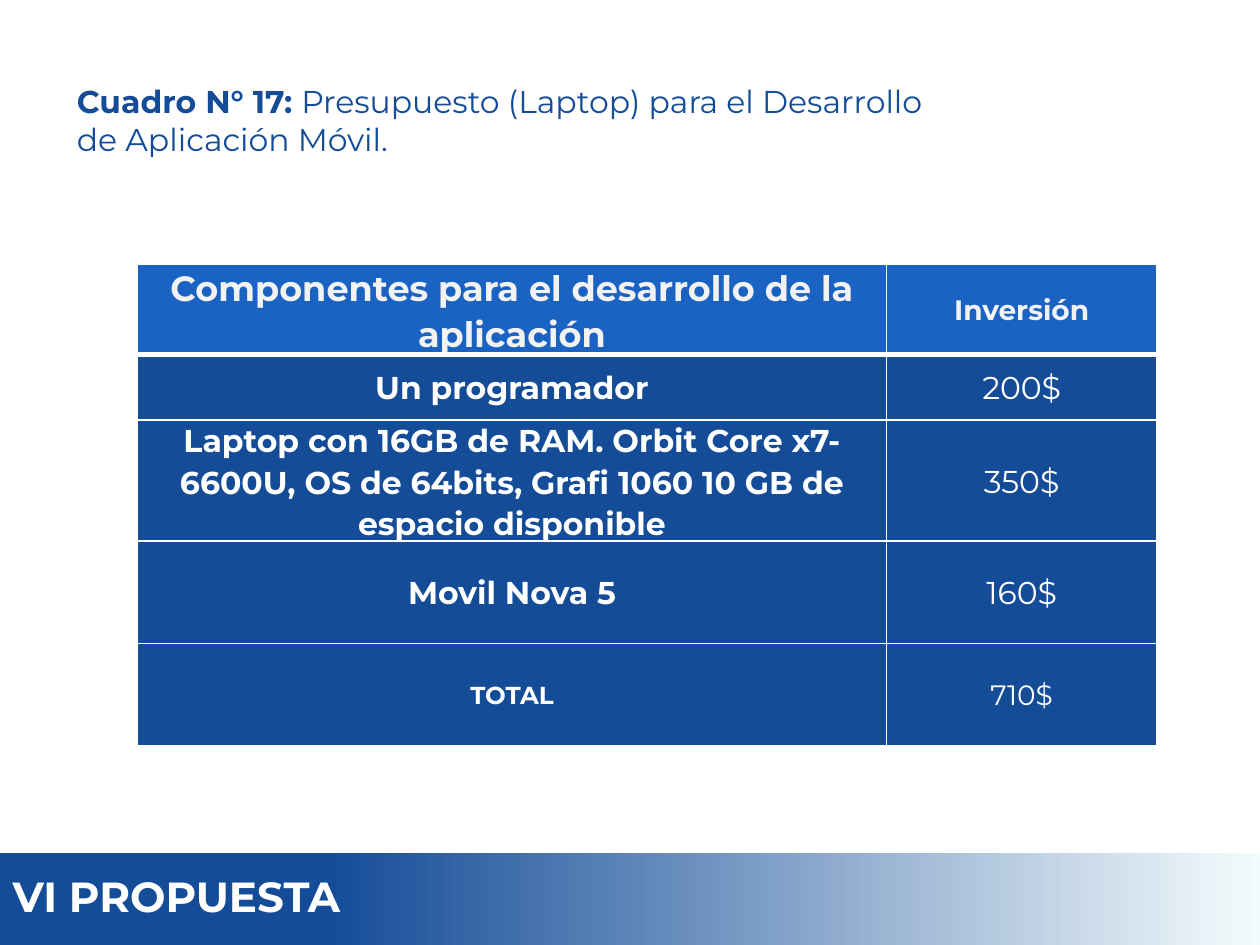
from dataclasses import dataclass

from lxml import etree
from pptx import Presentation
from pptx import util as u
from pptx.dml.color import RGBColor
from pptx.enum import text
from pptx.oxml import ns


@dataclass(frozen=True)
class Theme:
    font: str = "Montserrat"
    navy: str = "154C98"
    blue: str = "1B63C3"
    mist: str = "F4FBFC"
    white: str = "FFFFFF"
    pale: str = "F2F2F2"
    section: int = 24
    heading: int = 20
    body: int = 18
    label: int = 16
    total: int = 14


THEME = Theme()

# Each row: height in cm, then (wording, type size) for both columns
BUDGET = [
    (1.6, ("Componentes para el desarrollo de la aplicación", THEME.heading),
     ("Inversión", THEME.label)),
    (1.32, ("Un programador", THEME.body), ("200$", THEME.body)),
    (1.32, ("Laptop con 16GB de RAM. Orbit Core x7-6600U, OS de 64bits, "
            "Grafi 1060 10 GB de espacio disponible", THEME.body),
     ("350$", THEME.body)),
    (2.06, ("Movil Nova 5", THEME.body), ("160$", THEME.body)),
    (2.06, ("TOTAL", THEME.total), ("710$", THEME.label)),
]
COLUMN_SHARES = (0.735, 0.265)


def write(paragraph, wording, size, color, bold=False,
          align=text.PP_ALIGN.LEFT, spacing=None, after=None):
    """Append a formatted run to the paragraph."""
    paragraph.alignment = align
    if spacing is not None:
        paragraph.line_spacing = spacing
    if after is not None:
        paragraph.space_after = u.Pt(after)
    run = paragraph.add_run()
    run.text = wording
    run.font.name = THEME.font
    run.font.size = u.Pt(size)
    run.font.bold = bold
    run.font.color.rgb = RGBColor.from_string(color)


def set_borders(cell, bottom):
    """Draw white cell borders, 1 pt wide except for the given bottom width."""
    properties = cell._tc.get_or_add_tcPr()
    for index, (side, width) in enumerate(
            {"L": 1, "R": 1, "T": 1, "B": bottom}.items()):
        line = etree.Element(ns.qn(f"a:ln{side}"), w=str(u.Pt(width)))
        fill = etree.SubElement(line, ns.qn("a:solidFill"))
        etree.SubElement(fill, ns.qn("a:srgbClr"), val=THEME.white)
        properties.insert(index, line)


def add_section_band(slide, left, top, width, height):
    band = slide.shapes.title
    band.left, band.top, band.width, band.height = left, top, width, height
    band.fill.gradient()
    band.fill.gradient_angle = 180
    for stop, (position, color) in zip(
            band.fill.gradient_stops, ((0, THEME.mist), (0.74, THEME.navy))):
        stop.position = position
        stop.color.rgb = RGBColor.from_string(color)
    frame = band.text_frame
    frame.auto_size = text.MSO_AUTO_SIZE.NONE
    frame.vertical_anchor = text.MSO_ANCHOR.MIDDLE
    write(frame.paragraphs[0], "VI PROPUESTA", THEME.section, THEME.white,
          bold=True, spacing=0.9)


def add_caption(slide, left, top, width, height):
    frame = slide.shapes.add_textbox(left, top, width, height).text_frame
    frame.word_wrap = True
    frame.vertical_anchor = text.MSO_ANCHOR.MIDDLE
    first = frame.paragraphs[0]
    write(first, "Cuadro N° 17: ", THEME.body, THEME.navy, bold=True)
    write(first, "Presupuesto (Laptop) para el Desarrollo", THEME.body, THEME.navy)
    write(frame.add_paragraph(), "de Aplicación Móvil.", THEME.body, THEME.navy)


def add_budget_table(slide, left, top, width, height):
    table = slide.shapes.add_table(
        len(BUDGET), len(COLUMN_SHARES), left, top, width, height).table
    for column, share in zip(table.columns, COLUMN_SHARES):
        column.width = int(width * share)
    for row_index, (row_height, *entries) in enumerate(BUDGET):
        table.rows[row_index].height = u.Cm(row_height)
        is_header = row_index == 0
        for column_index, (wording, size) in enumerate(entries):
            cell = table.cell(row_index, column_index)
            cell.fill.solid()
            cell.fill.fore_color.rgb = RGBColor.from_string(
                THEME.blue if is_header else THEME.navy)
            set_borders(cell, bottom=3 if is_header else 1)
            cell.margin_left = cell.margin_right = u.Cm(0.18)
            cell.margin_top = cell.margin_bottom = 0
            cell.vertical_anchor = text.MSO_ANCHOR.MIDDLE
            write(cell.text_frame.paragraphs[0], wording, size,
                  THEME.pale if is_header else THEME.white,
                  bold=is_header or column_index == 0,
                  align=text.PP_ALIGN.CENTER, spacing=1.07, after=8)


def main():
    deck = Presentation()
    deck.slide_width, deck.slide_height = u.Cm(25.4), u.Cm(19.05)
    slide = deck.slides.add_slide(deck.slide_layouts[5])
    band_height = u.Cm(1.85)
    add_section_band(slide, 0, deck.slide_height - band_height,
                     deck.slide_width, band_height)
    add_caption(slide, u.Cm(1.3), u.Cm(1.52), u.Cm(19.7), u.Cm(1.8))
    add_budget_table(slide, u.Cm(2.77), u.Cm(5.33), u.Cm(20.55),
                     u.Cm(sum(row[0] for row in BUDGET)))
    deck.save("out.pptx")


if __name__ == "__main__":
    main()
